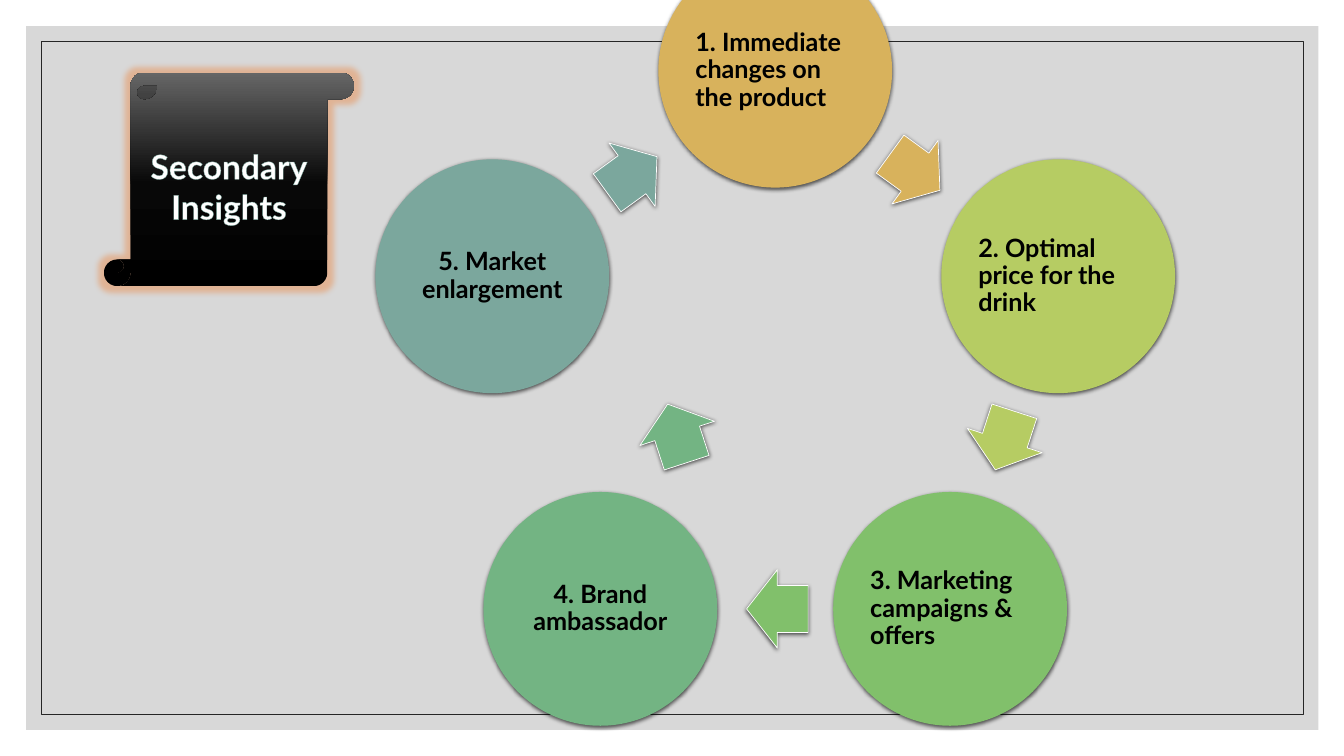
from dataclasses import dataclass
from math import cos, radians, sin

from lxml import etree
from pptx import Presentation
from pptx.dml.color import RGBColor
from pptx.enum.shapes import MSO_SHAPE
from pptx.enum.text import MSO_ANCHOR, PP_ALIGN
from pptx.oxml import parse_xml
from pptx.oxml.ns import nsdecls, qn
from pptx.util import Pt

RECT, CIRCLE = MSO_SHAPE.RECTANGLE, MSO_SHAPE.OVAL
ARROW, SCROLL = MSO_SHAPE.RIGHT_ARROW, MSO_SHAPE.VERTICAL_SCROLL
LEFT, CENTER, MIDDLE = PP_ALIGN.LEFT, PP_ALIGN.CENTER, MSO_ANCHOR.MIDDLE

BLACK = RGBColor(0x00, 0x00, 0x00)
WHITE = RGBColor(0xFF, 0xFF, 0xFF)
PANEL = RGBColor(0xBF, 0xBF, 0xBF)
FRAME = RGBColor(0x26, 0x26, 0x26)
GOLD = RGBColor(0xD8, 0xB2, 0x5C)
LIME = RGBColor(0xB6, 0xCC, 0x63)
GREEN = RGBColor(0x81, 0xC0, 0x6B)
MINT = RGBColor(0x73, 0xB4, 0x83)
TEAL = RGBColor(0x7B, 0xA7, 0x9D)
MIST = RGBColor(0xB0, 0xCA, 0xC4)
GLOW = RGBColor(0xED, 0x7D, 0x31)

# Cycle geometry, in points
CX, CY, RADIUS = 553.75, 263, 212.5
DIAMETER = 167
ARROW_W, ARROW_H, ARROW_BACK = 44, 56, 1.5


@dataclass
class Step:
    text: str
    color: RGBColor
    align: PP_ALIGN = LEFT
    arrow_dx: float = 0
    arrow_dy: float = 0


STEPS = [
    Step("1. Immediate changes on the product", GOLD),
    Step("2. Optimal price for the drink", LIME),
    Step("3. Marketing campaigns & offers", GREEN),
    Step("4. Brand ambassador", MINT, CENTER, 93, -8),
    Step("5. Market enlargement", TEAL, CENTER),
]


def element(xml: str) -> etree._Element:
    """Parse one drawing element; the root tag gets the namespace."""
    tag_end = min(i for i in (xml.find(" "), xml.find(">")) if i > 0)
    return parse_xml(f"{xml[:tag_end]} {nsdecls('a')}{xml[tag_end:]}")


def solid(color: RGBColor) -> str:
    return f'<a:solidFill><a:srgbClr val="{color}"/></a:solidFill>'


def add_shape(s, kind, x: float, y: float, w: float, h: float,
              fill: RGBColor | None = None, line: RGBColor | None = None):
    sp = s.shapes.add_shape(kind, Pt(x), Pt(y), Pt(w), Pt(h))
    sp.shadow.inherit = False
    if fill is None:
        sp.fill.background()
    else:
        sp.fill.solid()
        sp.fill.fore_color.rgb = fill
    if line is None:
        sp.line.fill.background()
    else:
        sp.line.color.rgb = line
        sp.line.width = Pt(0.5)
    return sp


def add_effect(sp, xml: str) -> None:
    sp.element.spPr.find(qn("a:effectLst")).append(element(xml))


def add_shadow(sp) -> None:
    add_effect(sp, f'<a:outerShdw blurRad="{Pt(3)}" dist="{Pt(1)}" dir="5400000" '
                   f'rotWithShape="0"><a:srgbClr val="{BLACK}">'
                   '<a:alpha val="63000"/></a:srgbClr></a:outerShdw>')


def set_text(sp, lines: list[str], *, size: float, color: RGBColor, align=CENTER,
             spacing: float = 1.0, inset: float | None = None) -> None:
    tf = sp.text_frame
    tf.word_wrap = True
    tf.vertical_anchor = MIDDLE
    if inset is not None:
        tf.margin_left = tf.margin_right = Pt(inset)
        tf.margin_top = tf.margin_bottom = Pt(inset)
    for i, line in enumerate(lines):
        p = tf.add_paragraph() if i else tf.paragraphs[0]
        p.alignment = align
        p.line_spacing = spacing
        r = p.add_run()
        r.text = line
        r.font.name = "Lato"
        r.font.size = Pt(size)
        r.font.bold = True
        r.font.color.rgb = color


def add_panel(s) -> None:
    panel = add_shape(s, RECT, 18.7, 18.7, 923, 502.6, PANEL)
    color = panel.element.spPr.find(qn("a:solidFill")).find(qn("a:srgbClr"))
    color.append(element('<a:alpha val="60000"/>'))
    add_shape(s, RECT, 29.5, 29.5, 901.5, 481, line=FRAME)


def add_cycle(s) -> None:
    turn = 360 / len(STEPS)
    mid_radius = RADIUS * cos(radians(turn / 2))
    for i, step in enumerate(STEPS):
        # Circle on the ring, starting at the top
        a = radians(i * turn - 90)
        x, y = CX + RADIUS * cos(a), CY + RADIUS * sin(a)
        sp = add_shape(s, CIRCLE, x - DIAMETER / 2, y - DIAMETER / 2,
                       DIAMETER, DIAMETER, step.color)
        add_shadow(sp)
        set_text(sp, [step.text], size=18, color=BLACK, align=step.align,
                 spacing=0.9, inset=2)

        # Arrow halfway to the next circle
        heading = (i + 0.5) * turn
        a, h = radians(heading - 90), radians(heading)
        x = CX + mid_radius * cos(a) - ARROW_BACK * cos(h) + step.arrow_dx
        y = CY + mid_radius * sin(a) - ARROW_BACK * sin(h) + step.arrow_dy
        sp = add_shape(s, ARROW, x - ARROW_W / 2, y - ARROW_H / 2,
                       ARROW_W, ARROW_H, step.color, WHITE)
        sp.adjustments[0], sp.adjustments[1] = 0.6, 0.5
        sp.rotation = heading
        add_shadow(sp)


def add_title_scroll(s) -> None:
    sp = add_shape(s, SCROLL, 74.2, 51.8, 178.6, 152.6, BLACK)
    spPr = sp.element.spPr
    spPr.replace(spPr.find(qn("a:solidFill")), element(
        '<a:gradFill rotWithShape="1"><a:gsLst>'
        '<a:gs pos="0"><a:srgbClr val="000000"/></a:gs>'
        '<a:gs pos="48000"><a:srgbClr val="080808"/></a:gs>'
        '<a:gs pos="100000"><a:srgbClr val="666666"/></a:gs>'
        '</a:gsLst><a:lin ang="16200000" scaled="0"/></a:gradFill>'))
    add_effect(sp, f'<a:glow rad="{Pt(8)}"><a:srgbClr val="{GLOW}">'
                   '<a:alpha val="40000"/></a:srgbClr></a:glow>')
    set_text(sp, ["Secondary", "Insights"], size=24, color=WHITE)

    # Hatched letters with a thin outline
    for p in sp.text_frame.paragraphs:
        rPr = p.runs[0].font._element
        rPr.replace(rPr.find(qn("a:solidFill")), element(
            f'<a:pattFill prst="ltDnDiag"><a:fgClr><a:srgbClr val="{MIST}"/></a:fgClr>'
            f'<a:bgClr><a:srgbClr val="{WHITE}"/></a:bgClr></a:pattFill>'))
        rPr.insert(0, element(f'<a:ln w="{Pt(1)}">{solid(TEAL)}</a:ln>'))


def main() -> None:
    prs = Presentation()
    prs.slide_width, prs.slide_height = Pt(960), Pt(540)
    s = prs.slides.add_slide(prs.slide_layouts[6])
    add_panel(s)
    add_cycle(s)
    add_title_scroll(s)
    prs.save("out.pptx")


if __name__ == "__main__":
    main()
